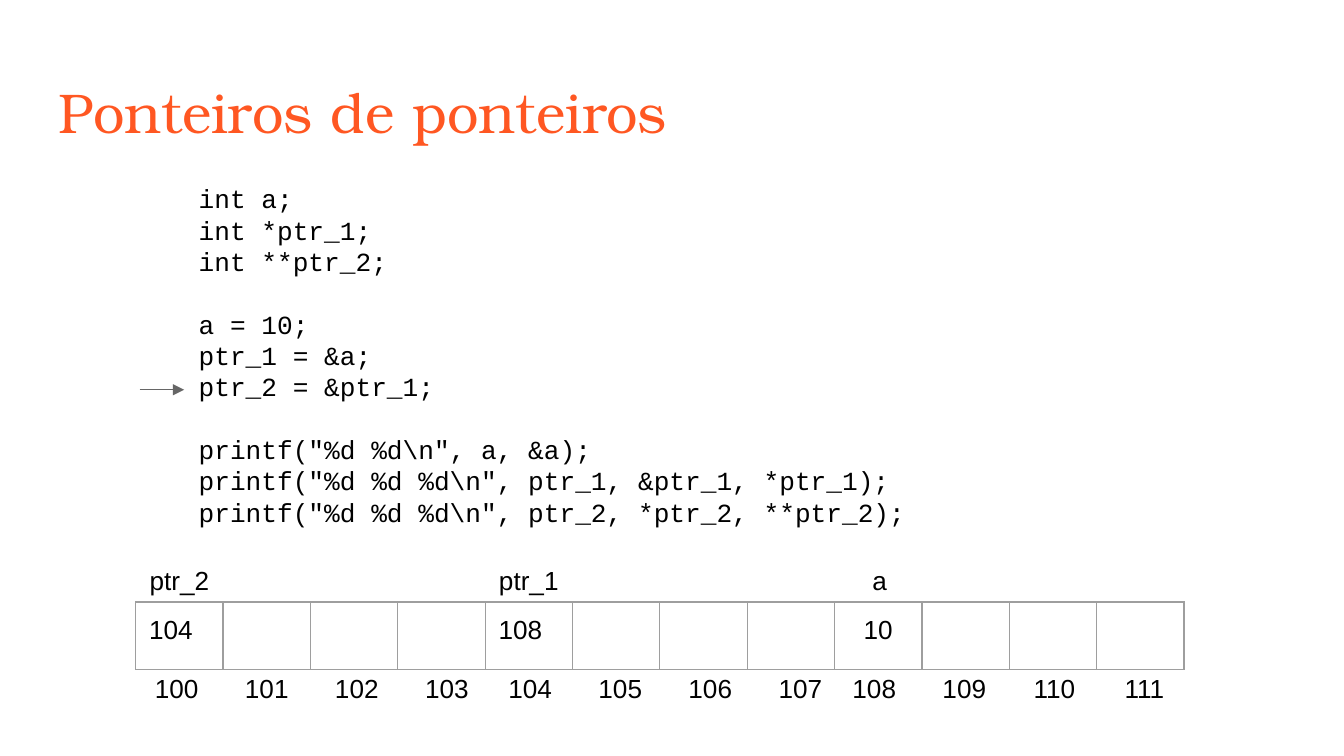
import lxml.etree
import pptx
import pptx.dml.color
import pptx.enum.shapes
import pptx.enum.text
import pptx.oxml.ns
import pptx.util

PX = 9144  # 100 px to the inch
SLIDE_WIDTH = 1000
COLORS = {"title": "FF5722", "text": "000000", "grid": "9E9E9E", "arrow": "666666"}
LEFT = pptx.enum.text.PP_ALIGN.LEFT
CENTER = pptx.enum.text.PP_ALIGN.CENTER
INSET = 10
MARGINS = ("margin_left", "margin_top", "margin_right", "margin_bottom")
BLOCK_GAP = 16.7  # points between blocks of code

CODE_BLOCKS = [
    ["int a;", "int *ptr_1;", "int **ptr_2;"],
    ["a = 10;", "ptr_1 = &a;", "ptr_2 = &ptr_1;"],
    [
        r'printf("%d %d\n", a, &a);',
        r'printf("%d %d %d\n", ptr_1, &ptr_1, *ptr_1);',
        r'printf("%d %d %d\n", ptr_2, *ptr_2, **ptr_2);',
    ],
]
BYTES_PER_VARIABLE = 4
FIRST_ADDRESS = 100
CELL_WIDTH = 65
ADDRESS_STEP = 67
# Label box and address offset are measured from the left of the memory strip
VARIABLES = [
    {"name": "ptr_2", "value": "104", "align": LEFT, "label": (-5, 75), "address": 3},
    {"name": "ptr_1", "value": "108", "align": LEFT, "label": (259, 67), "address": 266},
    {"name": "a", "value": "10", "align": CENTER, "label": (526, 55), "address": 522},
]


def emu(*lengths):
    return [pptx.util.Emu(round(length * PX)) for length in lengths]


def rgb(name):
    return pptx.dml.color.RGBColor.from_string(COLORS[name])


def set_attributes(target, values):
    for name, value in values.items():
        setattr(target, name, value)


def format_paragraph(paragraph, text, font="Arial", size=14, color="text", align=LEFT):
    paragraph.text = text
    paragraph.alignment = align
    for run in paragraph.runs:
        set_attributes(run.font, {"name": font, "size": pptx.util.Pt(size)})
        run.font.color.rgb = rgb(color)


def add_text(slide, box, lines, **style):
    """Add a text box and return its paragraphs, one for each line."""
    frame = slide.shapes.add_textbox(*emu(*box)).text_frame
    set_attributes(frame, dict.fromkeys(MARGINS, emu(INSET)[0]))
    set_attributes(frame, {
        "word_wrap": True,
        "vertical_anchor": pptx.enum.text.MSO_ANCHOR.TOP,
    })
    for index, line in enumerate(lines):
        paragraph = frame.add_paragraph() if index else frame.paragraphs[0]
        format_paragraph(paragraph, line, **style)
    return frame.paragraphs


def add_title(slide, box):
    add_text(slide, box, ["Ponteiros de ponteiros"],
             font="TeX Gyre Bonum", size=30, color="title")


def add_code(slide, box):
    lines = [line for block in CODE_BLOCKS for line in block]
    paragraphs = add_text(slide, box, lines, font="Courier New")
    start = 0
    for block in CODE_BLOCKS[:-1]:
        start += len(block)
        paragraphs[start].space_before = pptx.util.Pt(BLOCK_GAP)


def add_current_line_arrow(slide, left, top, width):
    arrow = slide.shapes.add_connector(
        pptx.enum.shapes.MSO_CONNECTOR.STRAIGHT,
        *emu(left, top, left + width, top))
    arrow.line.width = pptx.util.Pt(0.75)
    arrow.line.color.rgb = rgb("arrow")
    line = arrow.line._get_or_add_ln()
    lxml.etree.SubElement(line, pptx.oxml.ns.qn("a:tailEnd"), type="triangle")
    lxml.etree.SubElement(arrow._element.spPr, pptx.oxml.ns.qn("a:effectLst"))


def add_cell_borders(cell):
    properties = cell._tc.get_or_add_tcPr()
    for index, side in enumerate(("lnL", "lnR", "lnT", "lnB")):
        border = lxml.etree.Element(pptx.oxml.ns.qn("a:" + side),
                                    w=str(int(pptx.util.Pt(0.75))))
        fill = lxml.etree.SubElement(border, pptx.oxml.ns.qn("a:solidFill"))
        lxml.etree.SubElement(fill, pptx.oxml.ns.qn("a:srgbClr"), val=COLORS["grid"])
        properties.insert(index, border)


def add_memory_cells(slide, box):
    count = len(VARIABLES) * BYTES_PER_VARIABLE
    table = slide.shapes.add_table(1, count, *emu(*box)).table
    set_attributes(table, {"first_row": False, "horz_banding": False})
    for column in table.columns:
        column.width = emu(CELL_WIDTH)[0]
    for index, cell in enumerate(table.iter_cells()):
        variable, byte = divmod(index, BYTES_PER_VARIABLE)
        set_attributes(cell, dict.fromkeys(MARGINS, emu(INSET)[0]))
        if byte == 0:
            format_paragraph(cell.text_frame.paragraphs[0],
                             VARIABLES[variable]["value"],
                             align=VARIABLES[variable]["align"])
        cell.fill.background()
        add_cell_borders(cell)


def add_memory(slide, box):
    """Draw the byte strip with variable names above and addresses below."""
    left, top, width, height = box
    add_memory_cells(slide, box)
    address = FIRST_ADDRESS
    for variable in VARIABLES:
        offset, label_width = variable["label"]
        add_text(slide, (left + offset, top - 38, label_width, 51),
                 [variable["name"]], align=CENTER)
        for byte in range(BYTES_PER_VARIABLE):
            x = left + variable["address"] + byte * ADDRESS_STEP
            add_text(slide, (x, top + 42, 55, 54), [str(address)], align=CENTER)
            address += 1


def main():
    presentation = pptx.Presentation()
    set_attributes(presentation, dict(zip(
        ("slide_width", "slide_height"), emu(SLIDE_WIDTH, SLIDE_WIDTH * 9 / 16))))
    slide = presentation.slides.add_slide(presentation.slide_layouts[6])
    add_title(slide, (34, 48, 932, 63))
    add_code(slide, (138, 126, 654, 270))
    add_current_line_arrow(slide, 104, 290, 33)
    strip_width = len(VARIABLES) * BYTES_PER_VARIABLE * CELL_WIDTH
    add_memory(slide, (101, 448, strip_width, 48))
    presentation.save("out.pptx")


if __name__ == "__main__":
    main()
